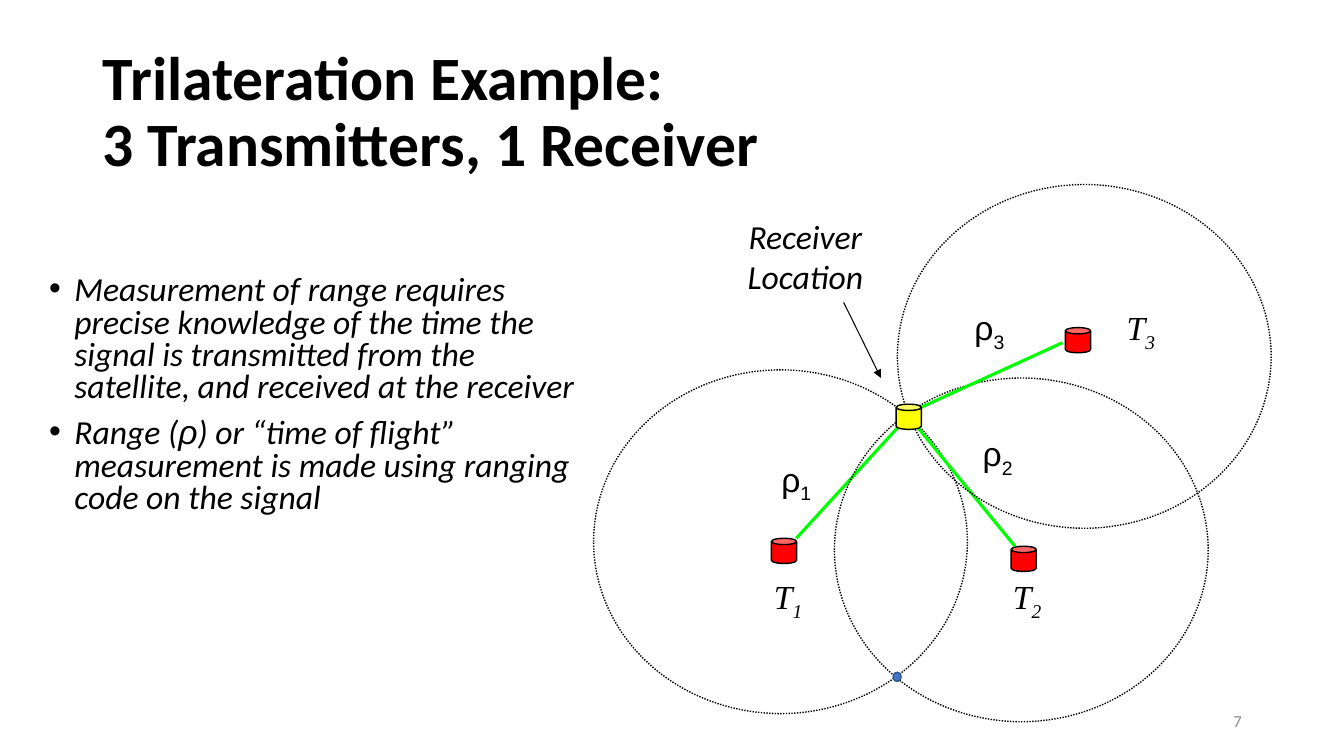
"""Build a slide that explains trilateration with three transmitters and one receiver."""
from dataclasses import dataclass
from typing import Any, Optional

from lxml.etree import SubElement
from pptx import Presentation
from pptx.dml.color import RGBColor
from pptx.enum.dml import MSO_LINE
from pptx.enum.shapes import MSO_CONNECTOR, MSO_SHAPE
from pptx.enum.text import MSO_ANCHOR, PP_ALIGN
from pptx.oxml.ns import qn
from pptx.util import Pt

Point = tuple[float, float]
Box = tuple[float, float, float, float]


@dataclass(frozen=True)
class Theme:
    black: str = "000000"
    white: str = "FFFFFF"
    red: str = "FF0000"
    yellow: str = "FFFF00"
    green: str = "00FF00"
    blue: str = "4472C4"
    dark_blue: str = "325491"
    grey: str = "8C8C8C"
    title: float = 44
    body: float = 24
    number: float = 12
    sans: str = "Calibri"
    symbol: str = "Arial"
    serif: str = "Times New Roman"


@dataclass(frozen=True)
class Transmitter:
    number: str
    circle: Point
    can: Point
    name: Point
    range_label: Point
    start: Point
    end: Point
    head: str


THEME = Theme()
CIRCLE = (267, 245.5)
CAN = (18, 18)
DOT = (5.76, 6.48)
NAME = (72, 36)
RANGE = (41.76, 36)
TRANSMITTERS = [
    Transmitter("1", (424, 264.2), (551, 384.5), (527, 408.2), (551, 324),
                (568.8, 384.5), (647.3, 298.8), "stealth"),
    Transmitter("2", (596, 270), (722.2, 390.2), (697.7, 408.2), (694.8, 306),
                (725, 390.2), (647.3, 295.2), "triangle"),
    Transmitter("3", (641, 131.8), (761, 234), (779, 216), (689, 216),
                (758.9, 244.8), (650.2, 294.5), "triangle"),
]
BULLETS = [
    [("Measurement of range requires precise knowledge of the time the signal is "
      "transmitted from the satellite, and received at the receiver", THEME.sans)],
    [("Range (", THEME.sans), ("ρ", THEME.symbol),
     (") or “time of flight” measurement is made using ranging code on the signal",
      THEME.sans)],
]


def set_format(target: Any, values: dict[str, Any]) -> None:
    for key, value in values.items():
        setattr(target, key, value)


def add_run(p: Any, text: str, font: str, size: float = THEME.body,
            color: str = THEME.black, italic: bool = False, subscript: bool = False) -> None:
    r = p.add_run()
    r.text = text
    set_format(r.font, {"name": font, "size": Pt(size), "italic": italic})
    r.font.color.rgb = RGBColor.from_string(color)
    if subscript:
        r.font._element.set("baseline", "-25000")


def add_text(slide: Any, box: Box, align: PP_ALIGN = PP_ALIGN.LEFT) -> Any:
    sp = slide.shapes.add_textbox(*map(Pt, box))
    sp.text_frame.word_wrap = True
    sp.text_frame.paragraphs[0].alignment = align
    return sp


def add_label(slide: Any, box: Box, symbol: str, number: str, font: str,
              align: PP_ALIGN, italic: bool) -> None:
    p = add_text(slide, box, align).text_frame.paragraphs[0]
    add_run(p, symbol, font, italic=italic)
    add_run(p, number, font, italic=italic, subscript=True)


def add_figure(slide: Any, kind: MSO_SHAPE, at: Point, size: Point,
               fill: Optional[str] = None, line: str = THEME.black) -> Any:
    sp = slide.shapes.add_shape(kind, *map(Pt, at + size))
    sp.shadow.inherit = False
    if fill:
        sp.fill.solid()
        sp.fill.fore_color.rgb = RGBColor.from_string(fill)
    else:
        sp.fill.background()
    sp.line.color.rgb = RGBColor.from_string(line)
    sp.line.width = Pt(1)
    return sp


def add_can(slide: Any, at: Point, fill: str) -> None:
    add_figure(slide, MSO_SHAPE.CAN, at, CAN, fill).adjustments[0] = 0.25


def add_arrow(slide: Any, start: Point, end: Point, color: str,
              width: float, head: str) -> None:
    sp = slide.shapes.add_connector(MSO_CONNECTOR.STRAIGHT, *map(Pt, start + end))
    sp.line.color.rgb = RGBColor.from_string(color)
    sp.line.width = Pt(width)
    SubElement(sp.line._get_or_add_ln(), qn("a:tailEnd"), type=head)
    SubElement(sp._element.spPr, qn("a:effectLst"))


def add_transmitter(slide: Any, t: Transmitter) -> None:
    circle = add_figure(slide, MSO_SHAPE.OVAL, t.circle, CIRCLE)
    circle.line.dash_style = MSO_LINE.ROUND_DOT
    add_can(slide, t.can, THEME.red)
    add_label(slide, t.name + NAME, "T", t.number, THEME.serif, PP_ALIGN.CENTER, True)
    add_label(slide, t.range_label + RANGE, "ρ", t.number, THEME.symbol, PP_ALIGN.LEFT, False)
    add_arrow(slide, t.start, t.end, THEME.green, 2.25, t.head)


def add_title(slide: Any) -> None:
    sp = slide.shapes.title
    set_format(sp, dict(zip(("left", "top", "width", "height"),
                            map(Pt, (66.24, 28.8, 828, 104.4)))))
    tf = sp.text_frame
    tf.text = "Trilateration Example: \v3 Transmitters, 1 Receiver"
    tf.vertical_anchor = MSO_ANCHOR.MIDDLE
    p = tf.paragraphs[0]
    set_format(p, {"alignment": PP_ALIGN.LEFT, "line_spacing": 0.9})
    for r in p.runs:
        set_format(r.font, {"name": THEME.sans, "size": Pt(THEME.title), "bold": True})
        r.font.color.rgb = RGBColor.from_string(THEME.black)


def add_bullets(slide: Any) -> None:
    sp = add_text(slide, (28.08, 193.68, 393.12, 316.8))
    sp.fill.solid()
    sp.fill.fore_color.rgb = RGBColor.from_string(THEME.white)
    tf = sp.text_frame
    for i, runs in enumerate(BULLETS):
        p = tf.add_paragraph() if i else tf.paragraphs[0]
        set_format(p, {"line_spacing": 0.8, "space_before": Pt(10 if i else 0)})
        pPr = p._p.get_or_add_pPr()
        pPr.set("marL", str(Pt(18)))
        pPr.set("indent", str(-Pt(18)))
        SubElement(pPr, qn("a:buFont"), typeface=THEME.symbol)
        SubElement(pPr, qn("a:buChar"), char="•")
        for text, font in runs:
            add_run(p, text, font, italic=True)


def main() -> None:
    prs = Presentation()
    set_format(prs, {"slide_width": Pt(960), "slide_height": Pt(540)})
    slide = prs.slides.add_slide(prs.slide_layouts[5])
    add_title(slide)
    for t in TRANSMITTERS:
        add_transmitter(slide, t)
    add_bullets(slide)
    add_arrow(slide, (602.64, 216), (629.28, 270), THEME.black, 0.75, "triangle")
    receiver = add_text(slide, (506.16, 150.48, 138.24, 65.52), PP_ALIGN.CENTER)
    add_run(receiver.text_frame.paragraphs[0], "Receiver Location", THEME.sans, italic=True)
    for at in ((637.92, 480.24), (645.84, 293.76)):
        add_figure(slide, MSO_SHAPE.OVAL, at, DOT, THEME.blue, THEME.dark_blue)
    add_can(slide, (640.08, 288.72), THEME.yellow)
    number = add_text(slide, (678.24, 500.4, 216, 28.8), PP_ALIGN.RIGHT)
    number.text_frame.vertical_anchor = MSO_ANCHOR.MIDDLE
    add_run(number.text_frame.paragraphs[0], "7", THEME.sans, THEME.number, THEME.grey)
    prs.save("out.pptx")


if __name__ == "__main__":
    main()
